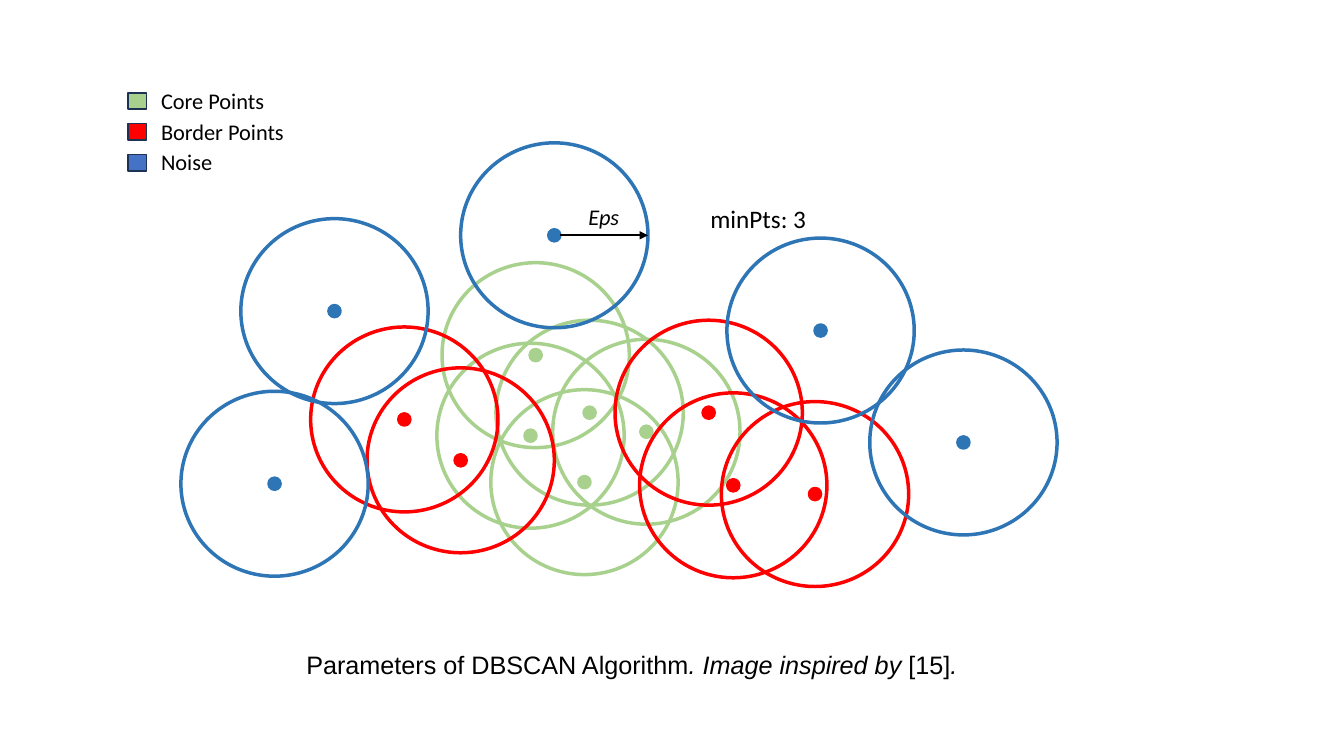
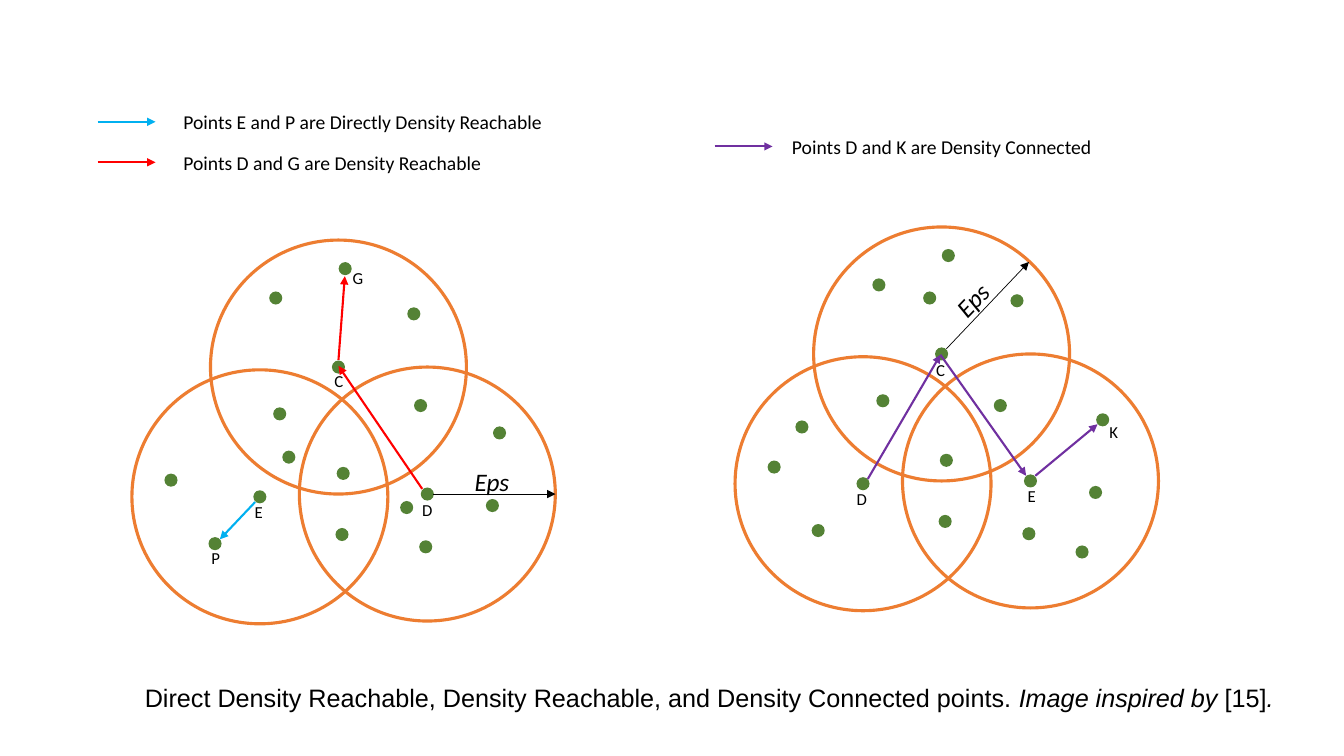
"""Builds two slides that explain the DBSCAN clustering terms."""
from lxml import etree
from pptx import Presentation
from pptx import util as u
from pptx.dml.color import RGBColor
from pptx.enum import shapes, text
from pptx.oxml.ns import qn

HUES = {
    "core": "A9D18E", "border": "FF0000", "noise": "2E75B6", "key": "4472C4",
    "edge": "1E3256", "ink": "000000", "ring": "ED7D31", "dot": "548235",
    "direct": "00B0F0", "reach": "FF0000", "link": "7030A0",
}
CITE = [("Image inspired by ", True), ("[15]", False), (".", True)]

POINTS = {
    "core": [(14.86, 10.4), (16.29, 10.88), (14.73, 12.15), (13.37, 10.98),
             (13.5, 8.95)],
    "border": [(17.86, 10.4), (18.48, 12.23), (11.61, 11.6), (10.19, 10.57),
               (20.54, 12.45)],
    "noise": [(8.43, 7.84), (20.68, 8.33), (13.97, 5.93), (24.28, 11.15),
              (6.92, 12.19)],
}
KEYS = [("Core Points", "core"), ("Border Points", "border"), ("Noise", "key")]

RINGS = [(6.55, 12.52), (8.53, 9.25), (10.77, 12.45)]
DOTS = [(6.95, 7.51), (8.7, 6.77), (7.05, 10.43), (10.43, 7.91), (4.31, 12.1),
        (8.65, 11.93), (8.62, 13.47), (5.42, 13.7), (12.59, 10.91),
        (10.73, 13.78), (12.41, 12.74)]
GROUPS = [
    {
        "shift": (0, 0),
        "dots": [(10.6, 10.22), (7.28, 11.52), (10.25, 12.79)],
        "radius": (10.92, 12.45, 14, 12.45),
        "eps": (11.71, 11.63, 0),
        "arrows": [("direct", 6.43, 12.65, 5.54, 13.59),
                   ("reach", 10.64, 12.32, 8.53, 9.22),
                   ("reach", 8.53, 9.07, 8.69, 6.96)],
        "names": [("C", 8.18, 9.22), ("D", 10.39, 12.47), ("E", 6.17, 12.52),
                  ("P", 5.08, 13.67), ("G", 8.64, 6.63)],
    },
    {
        "shift": (15.2, -0.33),
        "dots": [(10.01, 10.55), (5.01, 11.09), (12.07, 14.24), (8.23, 7.84)],
        "radius": (8.65, 9.12, 10.73, 6.93),
        "eps": (8.55, 7.24, 313.8),
        "arrows": [("link", 6.67, 12.4, 8.5, 9.27),
                   ("link", 8.5, 9.27, 10.66, 12.32),
                   ("link", 10.89, 12.32, 12.46, 11.02)],
        "names": [("C", 8.14, 9.27), ("D", 6.14, 12.52), ("E", 10.45, 12.45),
                  ("K", 12.51, 10.82)],
    },
]
LEGEND = [
    ("direct", 2.46, 3.07, 4.37, "Points E and P are Directly Density Reachable"),
    ("reach", 2.46, 4.09, 4.37, "Points D and G are Density Reachable"),
    ("link", 18.01, 3.69, 19.71, "Points D and K are Density Connected"),
]


def hue(name):
    return RGBColor.from_string(HUES[name])


def shape(slide, kind, x, y, w, h, fill=None, line=None, width=1):
    item = slide.shapes.add_shape(kind, u.Cm(x), u.Cm(y), u.Cm(w), u.Cm(h))
    item.shadow.inherit = False
    if fill:
        item.fill.solid()
        item.fill.fore_color.rgb = hue(fill)
    else:
        item.fill.background()
    if line:
        item.line.color.rgb = hue(line)
        item.line.width = u.Pt(width)
    else:
        item.line.fill.background()


def disc(slide, x, y, w, h, **look):
    shape(slide, shapes.MSO_SHAPE.OVAL, x - w / 2, y - h / 2, w, h, **look)


def arrow(slide, x1, y1, x2, y2, color, width=1.5):
    item = slide.shapes.add_connector(
        shapes.MSO_CONNECTOR.STRAIGHT, u.Cm(x1), u.Cm(y1), u.Cm(x2), u.Cm(y2))
    item.line.color.rgb = hue(color)
    item.line.width = u.Pt(width)
    etree.SubElement(item.line._get_or_add_ln(), qn("a:tailEnd"), type="triangle")
    etree.SubElement(item._element.spPr, qn("a:effectLst"))


def label(slide, x, y, w, h, runs, size, font="Calibri", wrap=True, turn=0):
    box = slide.shapes.add_textbox(u.Cm(x), u.Cm(y), u.Cm(w), u.Cm(h))
    box.rotation = turn
    frame = box.text_frame
    frame.word_wrap = wrap
    frame.auto_size = text.MSO_AUTO_SIZE.SHAPE_TO_FIT_TEXT
    for words, slant in runs:
        run = frame.paragraphs[0].add_run()
        run.text = words
        run.font.name = font
        run.font.size = u.Pt(size)
        run.font.italic = slant
        run.font.color.rgb = hue("ink")


def caption(slide, x, y, w, runs):
    label(slide, x, y, w, 1.02, runs + CITE[1:], 18, "Arial", False)


def params(slide):
    for kind, spots in POINTS.items():
        for x, y in spots:
            disc(slide, x, y, 4.72, 4.66, line=kind, width=2.5)
            disc(slide, x, y, 0.28, 0.28, fill=kind, line=kind, width=2.5)
    arrow(slide, 14.12, 5.93, 16.33, 5.93, "ink")
    label(slide, 14.58, 5, 1.5, 0.94, [("Eps", True)], 16)
    for row, (words, fill) in enumerate(KEYS):
        y = 2.06 + 0.78 * row
        shape(slide, shapes.MSO_SHAPE.RECTANGLE, 3.23, y + 0.28, 0.46, 0.41,
              fill=fill, line="edge")
        label(slide, 3.81, y, 3.81, 0.94, [(words, False)], 16)
    label(slide, 17.65, 5, 3.3, 1.02, [("minPts: 3", False)], 18)
    caption(slide, 7.47, 16.23, 17.3,
            [("Parameters of DBSCAN Algorithm", False), (". " + CITE[0][0], True)])


def cluster(slide, group):
    dx, dy = group["shift"]
    for x, y in RINGS:
        disc(slide, x + dx, y + dy, 6.45, 6.4, line="ring", width=2.25)
    for x, y in RINGS + DOTS + group["dots"]:
        disc(slide, x + dx, y + dy, 0.33, 0.33, fill="dot")
    for color, x1, y1, x2, y2 in group["arrows"]:
        arrow(slide, x1 + dx, y1 + dy, x2 + dx, y2 + dy, color)
    x1, y1, x2, y2 = group["radius"]
    arrow(slide, x1 + dx, y1 + dy, x2 + dx, y2 + dy, "ink", 0.5)
    x, y, turn = group["eps"]
    label(slide, x + dx, y + dy, 1.78, 1.02, [("Eps", True)], 18, turn=turn)
    for name, x, y in group["names"]:
        label(slide, x + dx, y + dy, 0.71, 0.76, [(name, False)], 12)


def density(slide):
    for group in GROUPS:
        cluster(slide, group)
    for color, x, y, left, words in LEGEND:
        arrow(slide, x, y, x + 1.46, y, color)
        label(slide, left, y - 0.42, 10, 0.86, [(words, False)], 14)
    caption(slide, 3.4, 17.07, 29.24, [
        ("Direct Density Reachable, Density Reachable, "
         "and Density Connected points.", False),
        (" " + CITE[0][0], True)])


def main():
    deck = Presentation()
    deck.slide_width, deck.slide_height = u.Cm(33.87), u.Cm(19.05)
    for draw in (params, density):
        draw(deck.slides.add_slide(deck.slide_layouts[6]))
    deck.save("out.pptx")


if __name__ == "__main__":
    main()
